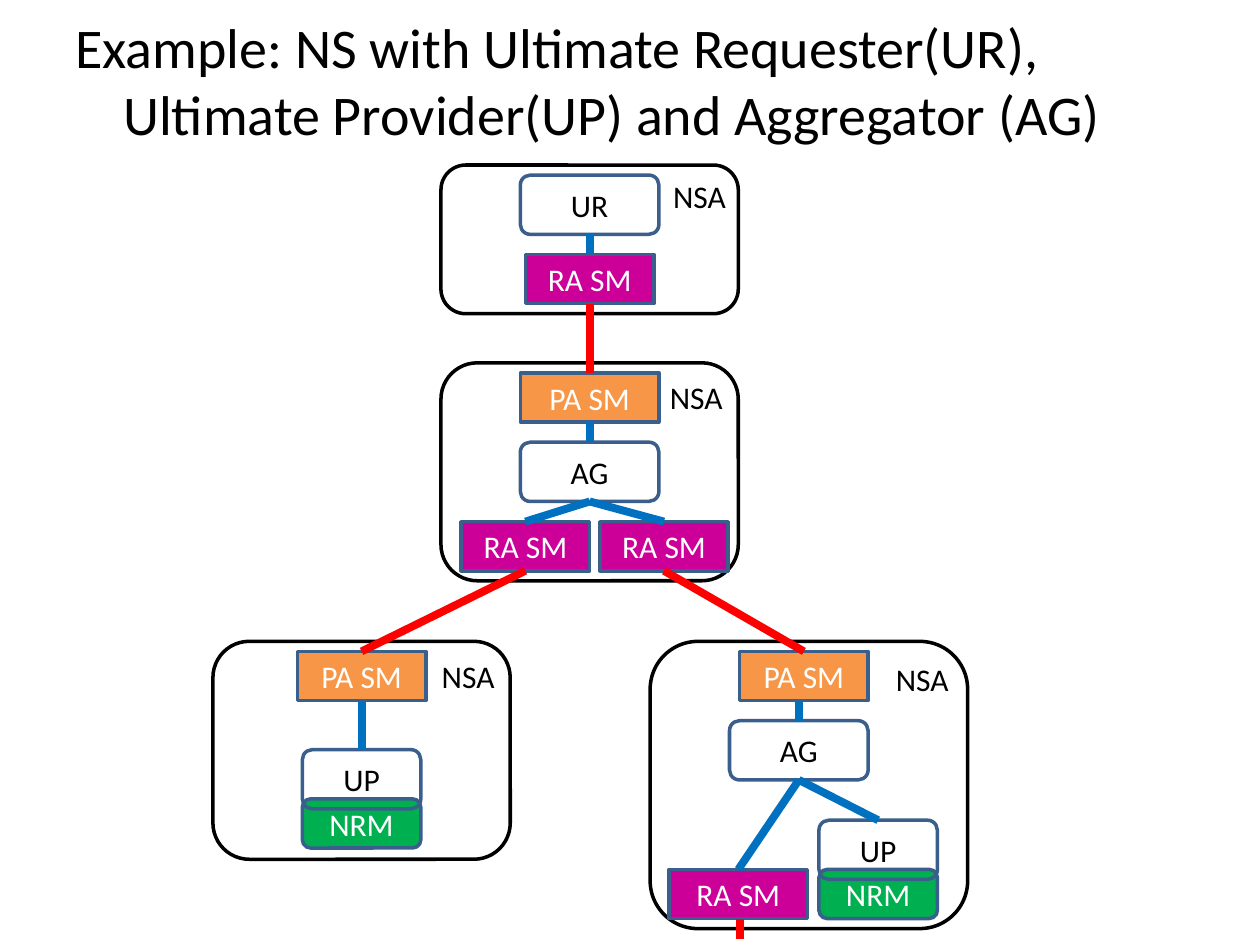
from lxml.etree import SubElement
from pptx import Presentation
from pptx.dml.color import RGBColor
from pptx.enum.shapes import MSO_CONNECTOR, MSO_SHAPE as SHAPE
from pptx.enum.text import MSO_ANCHOR as ANCHOR, PP_ALIGN as ALIGN
from pptx.oxml.ns import qn
from pptx.util import Inches, Pt

BLACK = RGBColor(0x00, 0x00, 0x00)
WHITE = RGBColor(0xFF, 0xFF, 0xFF)
MAGENTA = RGBColor(0xCC, 0x00, 0x99)
ORANGE = RGBColor(0xF7, 0x96, 0x46)
GREEN = RGBColor(0x00, 0xB0, 0x50)
OUTLINE = RGBColor(0x3A, 0x5F, 0x8C)
BLUE = RGBColor(0x00, 0x70, 0xC0)
RED = RGBColor(0xFF, 0x00, 0x00)

FONT = "Calibri"
TOP_SITE, BOTTOM_SITE = 0, 2
AGENT_HEIGHT = 0.39
ROLE_HEIGHT = 0.47


def add_text(paragraph, text, size, color):
    run = paragraph.add_run()
    run.text = text
    run.font.name = FONT
    run.font.size = Pt(size)
    run.font.color.rgb = color


def add_box(slide, kind, place, text, fill, line, color, align, anchor):
    shape = slide.shapes.add_shape(kind, *map(Inches, place))
    shape.shadow.inherit = False
    if fill is None:
        shape.fill.background()
    else:
        shape.fill.solid()
        shape.fill.fore_color.rgb = fill
    shape.line.color.rgb = line
    shape.line.width = Pt(2)
    frame = shape.text_frame
    frame.word_wrap = True
    frame.vertical_anchor = anchor
    frame.margin_left = frame.margin_right = Inches(0.04)
    frame.margin_top = frame.margin_bottom = Inches(0.04)
    paragraph = frame.paragraphs[0]
    paragraph.alignment = align
    add_text(paragraph, text, 18, color)
    return shape


def add_nsa(slide, left, top, width, height):
    return add_box(slide, SHAPE.ROUNDED_RECTANGLE, (left, top, width, height),
                   "NSA", None, BLACK, BLACK, ALIGN.RIGHT, ANCHOR.TOP)


def add_agent(slide, text, fill, left, top, width=1.02, kind=SHAPE.RECTANGLE):
    return add_box(slide, kind, (left, top, width, AGENT_HEIGHT),
                   text, fill, OUTLINE, WHITE, ALIGN.CENTER, ANCHOR.MIDDLE)


def add_requester(slide, left, top, width=1.02):
    return add_agent(slide, "RA SM", MAGENTA, left, top, width)


def add_provider(slide, left, top, width=1.02):
    return add_agent(slide, "PA SM", ORANGE, left, top, width)


def add_role(slide, text, left, top, width=1.1):
    return add_box(slide, SHAPE.ROUNDED_RECTANGLE, (left, top, width, ROLE_HEIGHT),
                   text, None, OUTLINE, BLACK, ALIGN.CENTER, ANCHOR.MIDDLE)


def add_ultimate_provider(slide, left, top):
    add_agent(slide, "NRM", GREEN, left, top + 0.39, 0.94, SHAPE.ROUNDED_RECTANGLE)
    return add_role(slide, "UP", left, top, 0.94)


def add_line(slide, start, end, color):
    line = slide.shapes.add_connector(
        MSO_CONNECTOR.STRAIGHT, *map(Inches, start + end))
    line.line.color.rgb = color
    line.line.width = Pt(4.5)
    SubElement(line._element.spPr, qn("a:effectLst"))
    return line


def link(slide, upper, lower, color):
    line = add_line(slide, (0, 0), (1, 1), color)
    line.begin_connect(upper, BOTTOM_SITE)
    line.end_connect(lower, TOP_SITE)


def add_title(slide, text):
    box = slide.shapes.add_textbox(Inches(0.5), Inches(0.05), Inches(9), Inches(1.18))
    box.text_frame.word_wrap = True
    paragraph = box.text_frame.paragraphs[0]
    properties = paragraph._p.get_or_add_pPr()
    properties.set("marL", str(Inches(0.38)))
    properties.set("indent", str(Inches(-0.38)))
    add_text(paragraph, text, 32, BLACK)


def main():
    presentation = Presentation()
    presentation.slide_width = Inches(10)
    presentation.slide_height = Inches(7.5)
    slide = presentation.slides.add_slide(presentation.slide_layouts[6])

    add_nsa(slide, 3.5, 1.31, 2.36, 1.18)
    add_nsa(slide, 3.5, 2.88, 2.36, 1.73)
    add_nsa(slide, 1.69, 5.09, 2.36, 1.73)
    add_nsa(slide, 5.16, 5.09, 2.52, 2.28)

    top_role = add_role(slide, "UR", 4.13, 1.39)
    top_requester = add_requester(slide, 4.17, 2.02)

    middle_provider = add_provider(slide, 4.13, 2.96, 1.1)
    middle_role = add_role(slide, "AG", 4.13, 3.51)
    left_requester = add_requester(slide, 3.66, 4.14)
    right_requester = add_requester(slide, 4.76, 4.14)

    left_provider = add_provider(slide, 2.36, 5.17)
    left_role = add_ultimate_provider(slide, 2.4, 5.95)

    right_provider = add_provider(slide, 5.87, 5.17)
    right_role = add_role(slide, "AG", 5.79, 5.72)
    bottom_requester = add_requester(slide, 5.31, 6.9, 1.1)
    bottom_role = add_ultimate_provider(slide, 6.5, 6.51)

    for upper, lower in (
        (top_role, top_requester),
        (middle_provider, middle_role),
        (middle_role, left_requester),
        (middle_role, right_requester),
        (left_provider, left_role),
        (right_role, bottom_role),
        (right_role, bottom_requester),
    ):
        link(slide, upper, lower, BLUE)
    for requester, provider in (
        (top_requester, middle_provider),
        (left_requester, left_provider),
        (right_requester, right_provider),
    ):
        link(slide, requester, provider, RED)
    add_line(slide, (6.34, 5.56), (6.34, 5.72), BLUE)
    add_line(slide, (5.87, 7.29), (5.87, 7.45), RED)

    add_title(slide, "Example: NS with Ultimate Requester(UR), "
                     "Ultimate Provider(UP) and Aggregator (AG)")
    presentation.save("out.pptx")


if __name__ == "__main__":
    main()
